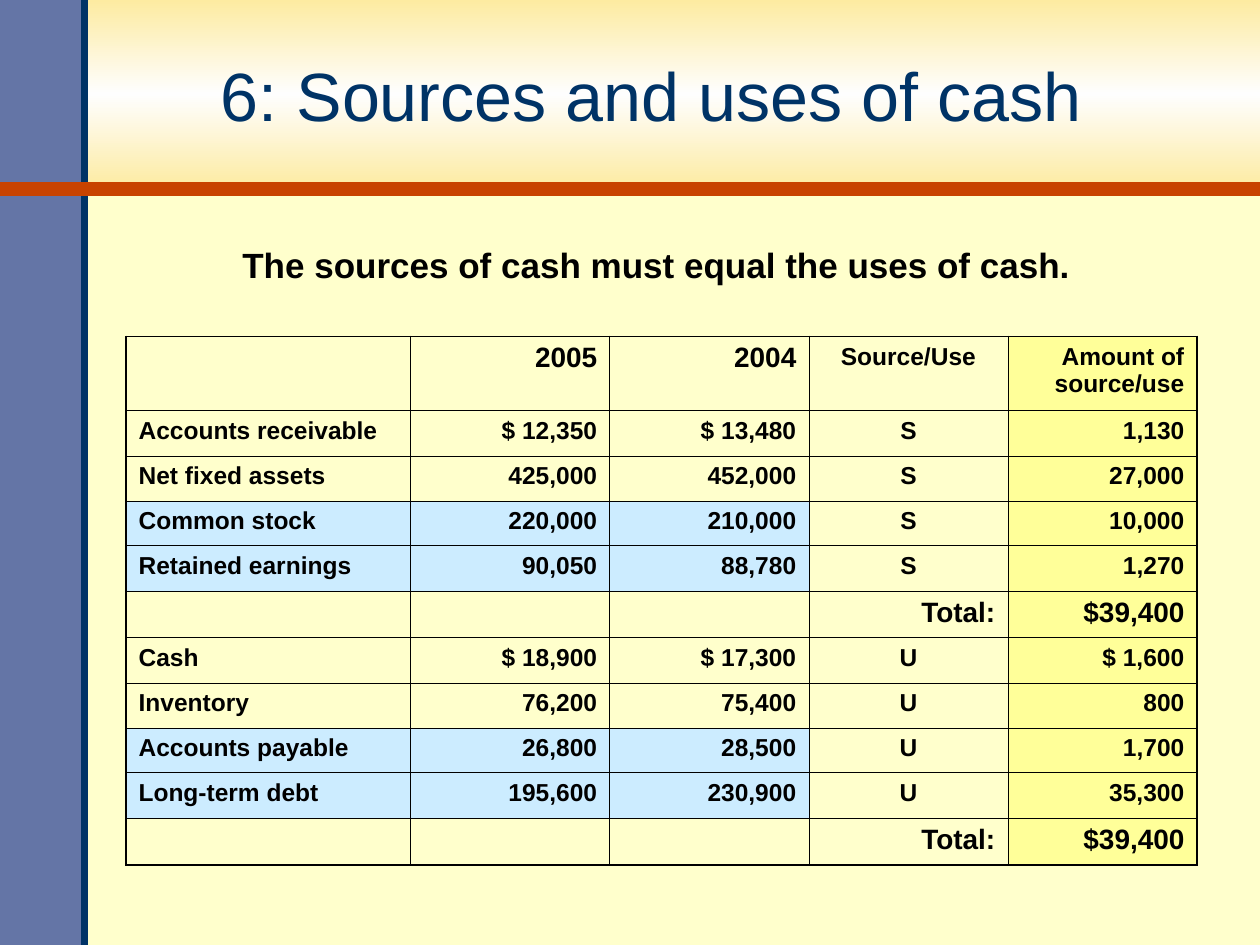
import pptx
import copy
import pptx.util
import pptx.dml.color
import pptx.enum.shapes
import pptx.enum.text
import pptx.oxml
import pptx.oxml.ns

Inches = pptx.util.Inches
Pt = pptx.util.Pt
Align = pptx.enum.text.PP_ALIGN
Anchor = pptx.enum.text.MSO_ANCHOR

BLACK, NAVY, SLATE, RUST = "000000", "003366", "6475A6", "C84300"
CREAM, YELLOW, SKY = "FFFFCC", "FFFF99", "CCECFF"
GOLD, WHITE = "FDEBA1", "FEFEFE"

HEADER = ["", "2005", "2004", "Source/Use", "Amount of source/use"]
TOTAL = ["", "", "", "Total:", "$39,400"]
ROWS = [
    HEADER,
    ["Accounts receivable", "$ 12,350", "$ 13,480", "S", "1,130"],
    ["Net fixed assets", "425,000", "452,000", "S", "27,000"],
    ["Common stock", "220,000", "210,000", "S", "10,000"],
    ["Retained earnings", "90,050", "88,780", "S", "1,270"],
    TOTAL,
    ["Cash", "$ 18,900", "$ 17,300", "U", "$ 1,600"],
    ["Inventory", "76,200", "75,400", "U", "800"],
    ["Accounts payable", "26,800", "28,500", "U", "1,700"],
    ["Long-term debt", "195,600", "230,900", "U", "35,300"],
    TOTAL,
]
LIABILITIES = {"Common stock", "Retained earnings", "Accounts payable", "Long-term debt"}
COLUMN_WIDTHS = [2.26, 1.58, 1.58, 1.58, 1.5]
ROW_HEIGHTS = [0.59, 0.36, 0.36, 0.35, 0.36, 0.37, 0.36, 0.36, 0.35, 0.36, 0.37]
COLUMN_ALIGN = [Align.LEFT, Align.RIGHT, Align.RIGHT, Align.CENTER, Align.RIGHT]


def color(value):
    return pptx.dml.color.RGBColor.from_string(value)


class SlideBuilder:
    """Holds the style and the current slide."""

    font = "Arial"
    thin, thick = 0.45, 1.08

    def __init__(self, page):
        self.page = page
        page.background.fill.solid()
        page.background.fill.fore_color.rgb = color(CREAM)

    def rectangle(self, left, top, width, height, fill):
        box = self.page.shapes.add_shape(
            pptx.enum.shapes.MSO_SHAPE.RECTANGLE,
            Inches(left), Inches(top), Inches(width), Inches(height))
        box.shadow.inherit = False
        box.line.fill.background()
        box.fill.solid()
        box.fill.fore_color.rgb = color(fill)
        return box

    def banner(self, left, top, width, height, edge, middle):
        fill = self.rectangle(left, top, width, height, edge).fill
        fill.gradient()
        fill.gradient_angle = 90
        stops = fill.gradient_stops
        for stop in stops:
            stop.color.rgb = color(edge)
        first = stops[0]._gs
        first.addnext(copy.deepcopy(first))
        center = fill.gradient_stops[1]
        center.position = 0.5
        center.color.rgb = color(middle)

    def line(self, start, end, stroke, width):
        rule = self.page.shapes.add_connector(
            pptx.enum.shapes.MSO_CONNECTOR.STRAIGHT,
            *(Inches(value) for value in start + end))
        rule.line.color.rgb = color(stroke)
        rule.line.width = Pt(width)
        rule._element.spPr.append(pptx.oxml.parse_xml(
            f"<a:effectLst {pptx.oxml.ns.nsdecls('a')}/>"))

    def style(self, para, size, ink, bold, align):
        para.alignment = align
        for span in para.runs:
            span.font.name = self.font
            span.font.size = Pt(size)
            span.font.bold = bold
            span.font.color.rgb = color(ink)

    def placeholder(self, index, text, area, size, ink, bold, anchor, top_margin=0.05):
        box = self.page.placeholders[index]
        box.left, box.top, box.width, box.height = (Inches(value) for value in area)
        self.page.shapes._spTree.append(box._element)  # bring to front
        frame = box.text_frame
        frame.text = text
        frame.word_wrap = True
        frame.auto_size = pptx.enum.text.MSO_AUTO_SIZE.NONE
        frame.vertical_anchor = anchor
        frame.margin_top = Inches(top_margin)
        para = frame.paragraphs[0]
        para.space_before = Pt(0)
        self.style(para, size, ink, bold, Align.CENTER)
        return para

    def title(self, text, area):
        self.placeholder(0, text, area, 39, NAVY, False, Anchor.MIDDLE)

    def statement(self, text, area):
        para = self.placeholder(1, text, area, 20, BLACK, True, Anchor.TOP, 0.5)
        para.line_spacing = 0.8
        properties = para._p.get_or_add_pPr()
        properties.set("marL", "0")
        properties.set("indent", "0")
        properties.append(pptx.oxml.parse_xml(
            f"<a:buNone {pptx.oxml.ns.nsdecls('a')}/>"))

    def borders(self, cell, outer_sides):
        properties = cell._tc.get_or_add_tcPr()
        for side in "LRTB":
            width = Pt(self.thick if side in outer_sides else self.thin)
            properties.append(pptx.oxml.parse_xml(
                f'<a:ln{side} {pptx.oxml.ns.nsdecls("a")} w="{width}"><a:solidFill>'
                f'<a:srgbClr val="{BLACK}"/></a:solidFill></a:ln{side}>'))

    def cell(self, cell, text, fill, size, align, outer_sides):
        self.borders(cell, outer_sides)
        cell.fill.solid()
        cell.fill.fore_color.rgb = color(fill)
        cell.text_frame.text = text
        para = cell.text_frame.paragraphs[0]
        self.style(para, size, BLACK, True, align)
        if not text:  # keeps empty rows from growing
            para._p.get_or_add_endParaRPr().set("sz", str(size * 100))

    def table(self, left, top, rows):
        last_row, last_column = len(rows) - 1, len(COLUMN_WIDTHS) - 1
        table = self.page.shapes.add_table(
            len(rows), len(COLUMN_WIDTHS), Inches(left), Inches(top),
            Inches(sum(COLUMN_WIDTHS)), Inches(sum(ROW_HEIGHTS))).table
        table.first_row = table.horz_banding = False
        for column, width in zip(table.columns, COLUMN_WIDTHS):
            column.width = Inches(width)
        for row, height in zip(table.rows, ROW_HEIGHTS):
            row.height = Inches(height)
        for r, values in enumerate(rows):
            for c, text in enumerate(values):
                fill = CREAM
                if c == last_column:
                    fill = YELLOW
                elif values[0] in LIABILITIES and c < 3:
                    fill = SKY
                large = values is TOTAL or text in ("2005", "2004")
                align = Align.RIGHT if text == "Total:" else COLUMN_ALIGN[c]
                edges = {"L": c == 0, "R": c == last_column,
                         "T": r == 0, "B": r == last_row}
                outer_sides = [side for side, outer in edges.items() if outer]
                self.cell(table.cell(r, c), text, fill, 16 if large else 14,
                          align, outer_sides)


def main():
    deck = pptx.Presentation()
    deck.slide_width, deck.slide_height = Inches(10), Inches(7.5)
    slide = SlideBuilder(deck.slides.add_slide(deck.slide_layouts[1]))

    # Background bands and rules
    slide.banner(0, 0, 10, 1.5, GOLD, WHITE)
    slide.rectangle(0, 0, 0.67, 7.5, SLATE)
    slide.line((0.67, 7.5), (0.67, 0), NAVY, 4)
    slide.line((0, 1.5), (10, 1.5), RUST, 8)

    # Title and key statement
    slide.title("6: Sources and uses of cash", (0.65, 0.15, 9.04, 1.2))
    slide.statement("The sources of cash must equal the uses of cash.",
                    (0.92, 1.5, 8.58, 1))

    # Sources and uses table
    slide.table(1, 2.67, ROWS)

    deck.save("out.pptx")


if __name__ == "__main__":
    main()
